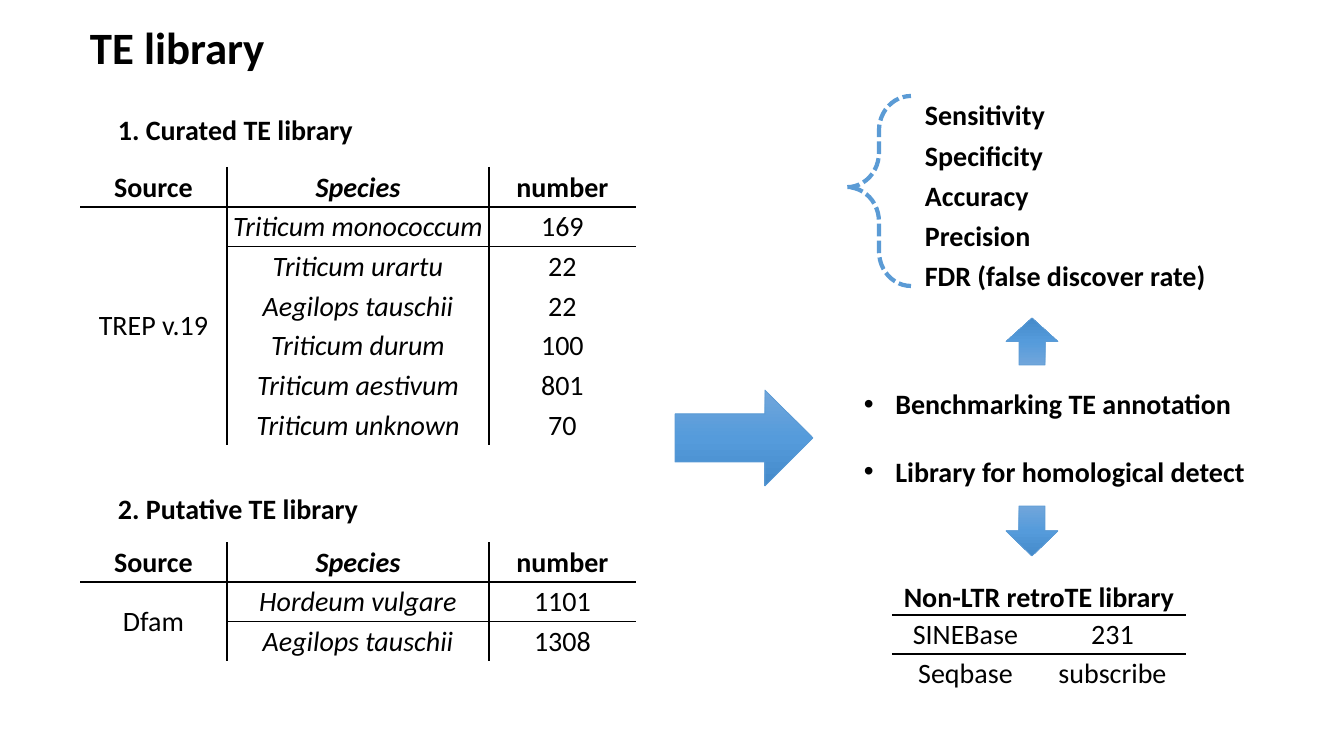
from lxml import etree
from pptx import Presentation
from pptx import util as u
from pptx.dml.color import RGBColor
from pptx.enum import dml, shapes, text
from pptx.oxml import parse_xml
from pptx.oxml.ns import nsdecls, qn

PX = 12192000 / 1344
BLACK, BLUE = "000000", "5B9BD5"
GRADIENT = ((0, "71A6DB"), (50000, "559BDB"), (100000, "448ACA"))


def px(*lengths):
    return [u.Emu(round(n * PX)) for n in lengths]


def add_text(p, words, size=20, bold=True, italic=False):
    r = p.add_run()
    r.text = words
    r.font.name = "Calibri"
    r.font.size = u.Pt(size)
    r.font.bold = bold
    r.font.italic = italic
    r.font.color.rgb = RGBColor.from_string(BLACK)


prs = Presentation()
prs.slide_width, prs.slide_height = px(1344, 756)
s = prs.slides.add_slide(prs.slide_layouts[6])

headings = (
    ("TE library", (80, 8, 1159, 78), 32, text.MSO_ANCHOR.MIDDLE),
    ("1. Curated TE library", (108, 108, 330, 44), 20, text.MSO_ANCHOR.TOP),
    ("2. Putative TE library", (108, 487, 430, 44), 20, text.MSO_ANCHOR.TOP),
)
for words, box, size, anchor in headings:
    tf = s.shapes.add_textbox(*px(*box)).text_frame
    tf.word_wrap = True
    tf.vertical_anchor = anchor
    add_text(tf.paragraphs[0], words, size)

header = ("Source", "Species", "number")
curated = (
    header,
    ("TREP v.19", "Triticum monococcum", "169"),
    ("", "Triticum urartu", "22"),
    ("", "Aegilops tauschii", "22"),
    ("", "Triticum durum", "100"),
    ("", "Triticum aestivum", "801"),
    ("", "Triticum unknown", "70"),
)
putative = (
    header,
    ("Dfam", "Hordeum vulgare", "1101"),
    ("", "Aegilops tauschii", "1308"),
)
non_ltr = (
    ("Non-LTR retroTE library", ""),
    ("SINEBase", "231"),
    ("Seqbase", "subscribe"),
)
tables = (
    (curated, 80, 167, 278, 40, (147, 262, 147)),
    (putative, 80, 542, 119, 40, (147, 262, 147)),
    (non_ltr, 892, 580, 113, 35, (147, 147)),
)
for rows, left, top, height, header_height, widths in tables:
    has_species = len(widths) == 3
    frame = s.shapes.add_table(len(rows), len(widths), *px(left, top, sum(widths), height))
    table = frame.table
    table.first_row = table.horz_banding = False
    table._tbl.tblPr.find(qn("a:tableStyleId")).text = "{2D5ABB26-0587-4C30-8999-92F81FD0307C}"
    for column, width in zip(table.columns, px(*widths)):
        column.width = width
    body_height = (height - header_height) / (len(rows) - 1)
    for i, row in enumerate(table.rows):
        row.height = px(body_height if i else header_height)[0]
    if has_species:
        table.cell(1, 0).merge(table.cell(len(rows) - 1, 0))
    else:
        table.cell(0, 0).merge(table.cell(0, 1))
    for i, row in enumerate(rows):
        for j, words in enumerate(row):
            cell = table.cell(i, j)
            cell.fill.background()
            cell.vertical_anchor = text.MSO_ANCHOR.MIDDLE
            cell.margin_left, cell.margin_right, cell.margin_top, cell.margin_bottom = px(1, 1, 1, 0)
            p = cell.text_frame.paragraphs[0]
            p.alignment = text.PP_ALIGN.CENTER
            if words:
                add_text(p, words, bold=i == 0, italic=has_species and j == 1)
            for side, shown in (("lnT", i == 1), ("lnL", has_species and j == 1)):
                if shown:
                    cell._tc.get_or_add_tcPr().insert(0, parse_xml(
                        f'<a:{side} {nsdecls("a")} w="12700"><a:solidFill>'
                        f'<a:srgbClr val="{BLACK}"/></a:solidFill></a:{side}>'))

arrows = (
    (shapes.MSO_SHAPE.RIGHT_ARROW, (675, 390, 138, 96), 0),
    (shapes.MSO_SHAPE.DOWN_ARROW, (1006, 318, 52, 47), 180),
    (shapes.MSO_SHAPE.DOWN_ARROW, (1006, 506, 52, 50), 0),
)
for kind, box, turn in arrows:
    sp = s.shapes.add_shape(kind, *px(*box))
    sp.shadow.inherit = False
    sp.rotation = turn
    sp.line.color.rgb = RGBColor.from_string(BLUE)
    sp.line.width = u.Pt(0.5)
    sp.fill.gradient()
    sp.fill.gradient_angle = 270
    stops = next(sp._element.iter(qn("a:gsLst")))
    for stop in list(stops):
        stops.remove(stop)
    for position, color in GRADIENT:
        stop = etree.SubElement(stops, qn("a:gs"), pos=str(position))
        etree.SubElement(stop, qn("a:srgbClr"), val=color)

tf = s.shapes.add_textbox(*px(854, 382, 410, 112)).text_frame
tf.word_wrap = True
for i, words in enumerate(("Benchmarking TE annotation", "Library for homological detect")):
    p = tf.add_paragraph() if i else tf.paragraphs[0]
    p.space_before = u.Pt(24 * i)
    pPr = p._p.get_or_add_pPr()
    pPr.set("marL", "285750")
    pPr.set("indent", "-285750")
    etree.SubElement(pPr, qn("a:buFont"), typeface="Arial")
    etree.SubElement(pPr, qn("a:buChar"), char="•")
    add_text(p, words)

measures = s.shapes.add_group_shape()
tf = measures.shapes.add_textbox(*px(915, 86, 310, 211)).text_frame
tf.word_wrap = True
names = ("Sensitivity", "Specificity", "Accuracy", "Precision", "FDR (false discover rate)")
for i, words in enumerate(names):
    p = tf.add_paragraph() if i else tf.paragraphs[0]
    p.line_spacing = 1.2
    add_text(p, words)

brace = measures.shapes.add_shape(shapes.MSO_SHAPE.LEFT_BRACE, *px(847, 96, 64, 190))
brace.shadow.inherit = False
brace.adjustments[0], brace.adjustments[1] = 0.54, 0.48
brace.fill.background()
brace.line.color.rgb = RGBColor.from_string(BLUE)
brace.line.width = u.Pt(3)
brace.line.dash_style = dml.MSO_LINE.SQUARE_DOT

prs.save("out.pptx")
